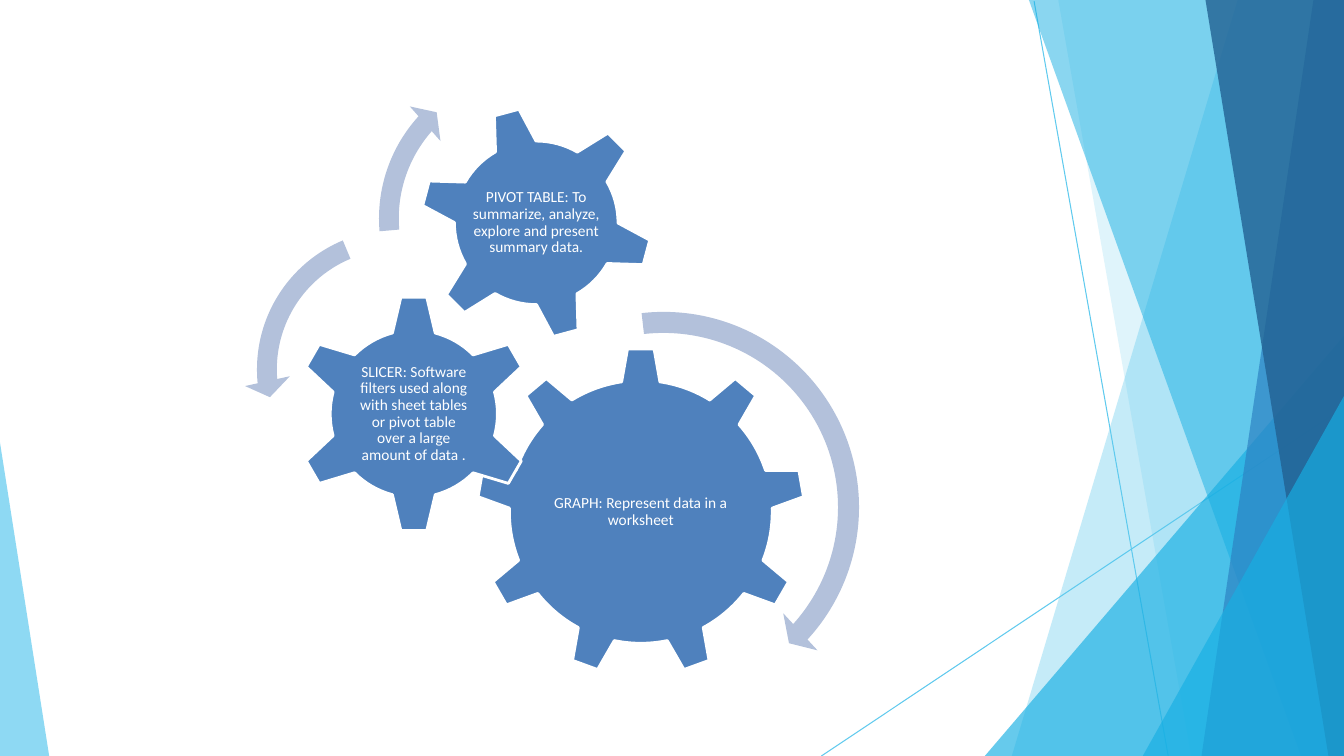
"""Build a slide of three meshing gears beside layered blue facets."""
import pptx
import pptx.dml.color
import pptx.enum.shapes
import pptx.enum.text
import pptx.oxml
import pptx.oxml.ns
import pptx.util
from lxml import etree

Cm = pptx.util.Cm
Pt = pptx.util.Pt
SHAPES = pptx.enum.shapes.MSO_SHAPE
WIDTH, HEIGHT = 33.87, 19.05
SKY, CYAN, BLUE, NAVY = "5FCAEE", "17AFE3", "2D83C3", "226192"
GEAR, ARROW, WHITE = "4F81BD", "B3C1DB", "FFFFFF"


def color(value):
    return pptx.dml.color.RGBColor.from_string(value)


class GearSlide:
    """Hold the text style and the current slide."""

    font = "Calibri"
    size = 11
    inset = 0.05

    def __init__(self, page):
        self.page = page

    def paint(self, shape, fill, outline=None, alpha=None):
        shape.shadow.inherit = False
        shape.fill.solid()
        shape.fill.fore_color.rgb = color(fill)
        if alpha is not None:
            tint = shape.fill._xPr.find(".//" + pptx.oxml.ns.qn("a:srgbClr"))
            etree.SubElement(tint, pptx.oxml.ns.qn("a:alpha")).set("val", str(alpha * 1000))
        if outline:
            shape.line.color.rgb = color(outline)
            shape.line.width = Pt(2)
        else:
            shape.line.fill.background()

    def line(self, *ends):
        connector = self.page.shapes.add_connector(
            pptx.enum.shapes.MSO_CONNECTOR.STRAIGHT, *map(Cm, ends))
        connector.line.color.rgb = color(SKY)
        connector.line.width = Pt(0.75)
        etree.SubElement(connector._element.spPr, pptx.oxml.ns.qn("a:effectLst"))

    def facet(self, fill, alpha, points):
        corners = [(Cm(x), Cm(y)) for x, y in points]
        builder = self.page.shapes.build_freeform(*corners[0])
        builder.add_line_segments(corners[1:], close=True)
        self.paint(builder.convert_to_shape(), fill, alpha=alpha)

    def gear(self, kind, left, top, size, label, label_width, label_height, turn=0):
        wheel = self.page.shapes.add_shape(kind, Cm(left), Cm(top), Cm(size), Cm(size))
        wheel.rotation = turn
        self.paint(wheel, GEAR, WHITE)
        self.label(label, left + (size - label_width) / 2,
                   top + (size - label_height) / 2, label_width, label_height)

    def label(self, text, *place):
        box = self.page.shapes.add_textbox(*map(Cm, place))
        frame = box.text_frame
        frame.word_wrap = True
        frame.vertical_anchor = pptx.enum.text.MSO_ANCHOR.MIDDLE
        frame.margin_left = frame.margin_right = Cm(self.inset)
        frame.margin_top = frame.margin_bottom = Cm(self.inset)
        para = frame.paragraphs[0]
        para.text = text
        para.alignment = pptx.enum.text.PP_ALIGN.CENTER
        para.line_spacing = 0.9
        para.font.name = self.font
        para.font.size = Pt(self.size)
        para.font.color.rgb = color(WHITE)

    def arrow(self, kind, left, top, size, adjustments):
        arc = self.page.shapes.add_shape(kind, Cm(left), Cm(top), Cm(size), Cm(size))
        for index, value in enumerate(adjustments):
            arc.adjustments[index] = value
        self.paint(arc, ARROW)


def main():
    deck = pptx.Presentation()
    deck.slide_width, deck.slide_height = Cm(WIDTH), Cm(HEIGHT)
    slide = GearSlide(deck.slides.add_slide(deck.slide_layouts[6]))

    slide.line(26.06, 0.03, 29.44, HEIGHT)
    slide.line(WIDTH, 10.26, 20.7, HEIGHT)

    right_facets = [
        (SKY, 36, 0, 31.19, 25.5),
        (SKY, 20, 0, 26.67, 30.02),
        (CYAN, 66, 8.46, WIDTH, 24.82),
        (CYAN, 50, 0, 25.93, 32.79),
        (BLUE, 70, 0, 33.1, 30.28),
        (NAVY, 80, 0, 30.38, 33.48),
        (CYAN, 66, 9.98, WIDTH, 28.8),
    ]
    for fill, alpha, top, top_left, bottom_left in right_facets:
        points = [(WIDTH, top), (bottom_left, HEIGHT), (WIDTH, HEIGHT)]
        if top_left < WIDTH:
            points.insert(1, (top_left, top))
        slide.facet(fill, alpha, points)
    slide.facet(SKY, 70, [(0, 11.15), (0, HEIGHT), (1.24, HEIGHT)])

    slide.gear(SHAPES.GEAR_9, 12.01, 8.76, 8.28,
               "GRAPH: Represent data in a worksheet", 4.95, 4.27)
    slide.gear(SHAPES.GEAR_6, 7.42, 7.42, 6.02,
               "SLICER: Software filters used along with sheet tables "
               "or pivot table over a large amount of data .", 3, 2.97)
    slide.gear(SHAPES.GEAR_6, 10.57, 2.67, 5.89,
               "PIVOT TABLE: To summarize, analyze, explore and present summary data.",
               3.3, 3.3, turn=345)

    slide.arrow(SHAPES.CIRCULAR_ARROW, 11.43, 7.49, 10.59,
                (0.05, 2.99, 25.39, 158.12, 0.06))
    slide.arrow(SHAPES.LEFT_CIRCULAR_ARROW, 6.15, 5.46, 7.7,
                (0.065, 4.3, 104.89, 148.38, 0.075))
    slide.arrow(SHAPES.CIRCULAR_ARROW, 9.22, 1.35, 8.31,
                (0.06, 3.94, 133.14, 105.08, 0.07))
    deck.save("out.pptx")


if __name__ == "__main__":
    main()
